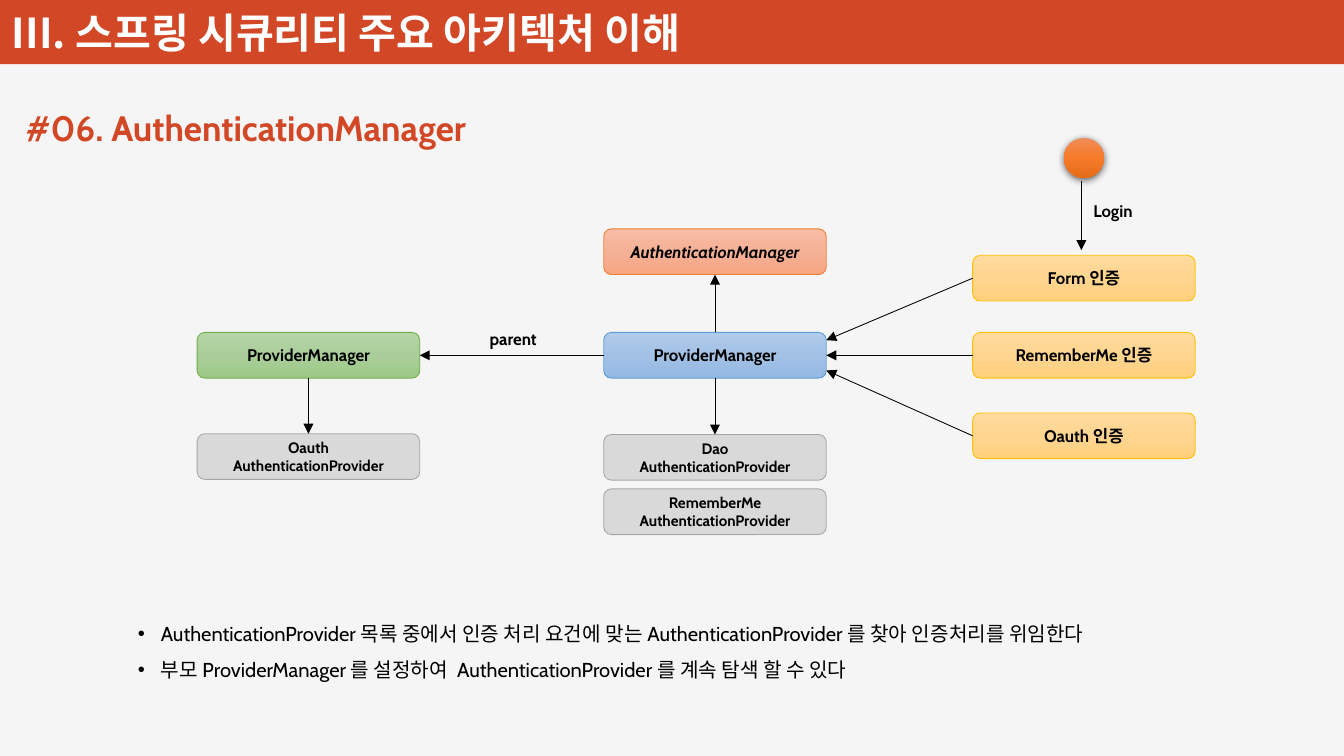
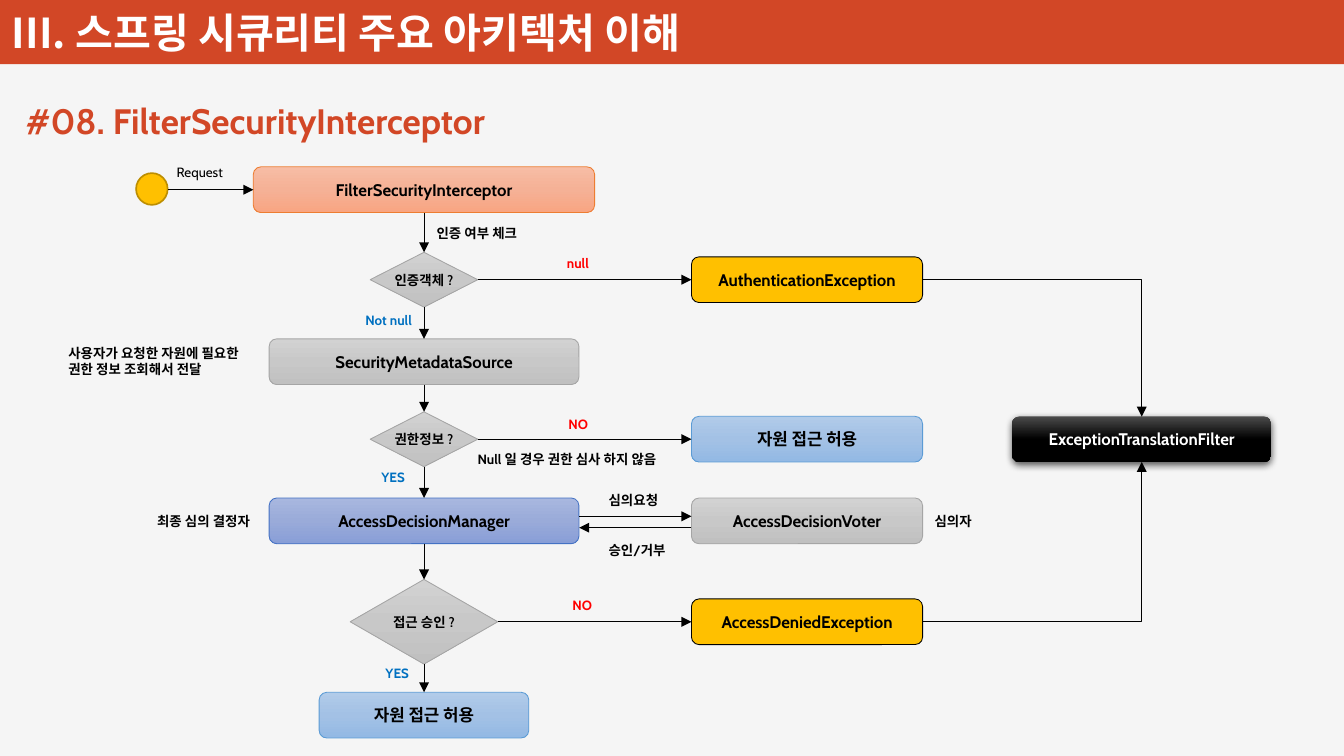
"""Build two architecture diagrams that share one band, title and theme."""
from dataclasses import dataclass
from enum import IntEnum
from typing import Optional, Union

import lxml.etree
import pptx
import pptx.dml.color
import pptx.enum.dml
import pptx.enum.shapes
import pptx.enum.text
import pptx.oxml.ns
import pptx.util

qn = pptx.oxml.ns.qn
Shapes = pptx.enum.shapes.MSO_SHAPE
Connectors = pptx.enum.shapes.MSO_CONNECTOR
Align = pptx.enum.text.PP_ALIGN
Anchor = pptx.enum.text.MSO_ANCHOR

WIDTH, HEIGHT = pptx.util.Inches(11.11), pptx.util.Inches(6.25)


class Side(IntEnum):
    """Connection sites of boxes and diamonds."""
    TOP = 0
    LEFT = 1
    BOTTOM = 2
    RIGHT = 3


@dataclass(frozen=True)
class Style:
    """Fill stops, outline, text colour and shadow of a node."""
    fill: tuple[str, ...]
    line: Optional[str] = None
    text: str = "000000"
    line_width: float = 0.5
    shadow: bool = False


@dataclass(frozen=True)
class Theme:
    """Colours, fonts and type sizes of the slides."""
    font: str = "Cabin"
    korean: str = "Noto Sans CJK KR"
    background: str = "F5F5F5"
    accent: str = "D24726"
    white: str = "FFFFFF"
    black: str = "000000"
    red: str = "FF0000"
    blue_text: str = "0070C0"
    chapter_size: float = 24.5
    title_size: float = 21
    body_size: float = 12
    node_size: float = 10
    provider_size: float = 9
    label_size: float = 8
    orange: Style = Style(("F7BDA5", "F5B196", "F8A582"), "ED7D31")
    blue: Style = Style(("B1CBE9", "A3C1E5", "93B9E4"), "5B9BD5")
    green: Style = Style(("B5D5A7", "AACE9A", "9CC987"), "70AD47")
    yellow: Style = Style(("FFDB9E", "FFD590", "FFD07C"), "FFC000")
    gray: Style = Style(("D2D2D2", "C8C8C8", "C0C0C0"), "A5A5A5")
    indigo: Style = Style(("A8B7DF", "9AABD9", "889ED7"), "4472C4")
    flat_gray: Style = Style(("D9D9D9",), "A6A6A6")
    amber: Style = Style(("FFC000",), "000000")
    request: Style = Style(("FFC000",), "BD8E00", line_width=1)
    login: Style = Style(("F18C57", "F67B28", "E56C19"), shadow=True)
    dark: Style = Style(("4B4B4B", "000000", "000000"), text="FFFFFF", shadow=True)


THEME = Theme()


@dataclass(frozen=True)
class Node:
    """A shape placed by its centre, in hundredths of the slide."""
    name: str
    x: float
    y: float
    width: float
    style: Style
    text: str = ""
    height: float = 6.05
    size: float = THEME.node_size
    italic: bool = False
    kind: Shapes = Shapes.ROUNDED_RECTANGLE


End = Union[tuple[str, Side], tuple[float, float]]


@dataclass(frozen=True)
class Link:
    """An arrow between node sides or grid points."""
    begin: End
    end: End
    elbow: bool = False


@dataclass(frozen=True)
class Label:
    """A free text, in hundredths of the slide."""
    left: float
    top: float
    width: float
    text: str
    color: str = THEME.black
    size: float = THEME.label_size
    bold: bool = True
    height: float = 3.85


@dataclass(frozen=True)
class Diagram:
    """Everything one slide shows."""
    title: str
    title_top: float
    nodes: list[Node]
    links: list[Link]
    labels: list[Label]
    bullets: tuple[str, ...] = ()


def column(share: float) -> int:
    """Turn hundredths of the width into a length."""
    return round(WIDTH * share / 100)


def row(share: float) -> int:
    """Turn hundredths of the height into a length."""
    return round(HEIGHT * share / 100)


def rgb(color: str) -> pptx.dml.color.RGBColor:
    """Read a hexadecimal colour."""
    return pptx.dml.color.RGBColor.from_string(color)


def write(text_frame, text: str, size: float, color: str, bold: bool = True, italic: bool = False,
          align=Align.LEFT, font: str = THEME.font) -> None:
    """Set the text of a frame and format its runs."""
    text_frame.text = text
    for paragraph in text_frame.paragraphs:
        paragraph.alignment = align
        for run in paragraph.runs:
            run.font.name, run.font.size = font, pptx.util.Pt(size)
            run.font.bold, run.font.italic = bold, italic
            run.font.color.rgb = rgb(color)
            east_asian = lxml.etree.Element(qn("a:ea"), typeface=THEME.korean)
            run.font._element.find(qn("a:latin")).addnext(east_asian)


def paint(shape, style: Style) -> None:
    """Apply fill, outline and shadow."""
    shape.shadow.inherit = False
    if len(style.fill) == 1:
        shape.fill.solid()
        shape.fill.fore_color.rgb = rgb(style.fill[0])
    else:
        shape.fill.gradient()
        shape.fill.gradient_angle = 270
        stops = shape.element.spPr.find(f".//{qn('a:gsLst')}")
        for stop in list(stops):
            stops.remove(stop)
        for index, color in enumerate(style.fill):
            position = str(100000 * index // (len(style.fill) - 1))
            stop = lxml.etree.SubElement(stops, qn("a:gs"), pos=position)
            lxml.etree.SubElement(stop, qn("a:srgbClr"), val=color)
    if style.line:
        shape.line.color.rgb = rgb(style.line)
        shape.line.width = pptx.util.Pt(style.line_width)
    else:
        shape.line.fill.background()
    if style.shadow:
        effects = shape.element.spPr.find(qn("a:effectLst"))
        shadow = lxml.etree.SubElement(effects, qn("a:outerShdw"), blurRad="57150", dist="19050",
                                       dir="5400000", algn="ctr", rotWithShape="0")
        color = lxml.etree.SubElement(shadow, qn("a:srgbClr"), val=THEME.black)
        lxml.etree.SubElement(color, qn("a:alpha"), val="63000")


def add_node(slide, node: Node):
    """Draw a node around its centre."""
    shape = slide.shapes.add_shape(
        node.kind, column(node.x - node.width / 2), row(node.y - node.height / 2),
        column(node.width), row(node.height))
    paint(shape, node.style)
    if node.text:
        shape.text_frame.word_wrap = False
        shape.text_frame.vertical_anchor = Anchor.MIDDLE
        write(shape.text_frame, node.text, node.size, node.style.text,
              italic=node.italic, align=Align.CENTER)
    return shape


def add_link(slide, link: Link, shapes: dict) -> None:
    """Draw an arrow and glue the ends that name a node."""
    points = [(0, 0) if isinstance(end[0], str) else (column(end[0]), row(end[1]))
              for end in (link.begin, link.end)]
    kind = Connectors.ELBOW if link.elbow else Connectors.STRAIGHT
    connector = slide.shapes.add_connector(kind, *points[0], *points[1])
    for end, connect in ((link.begin, connector.begin_connect), (link.end, connector.end_connect)):
        if isinstance(end[0], str):
            connect(shapes[end[0]], int(end[1]))
    connector.line.color.rgb = rgb(THEME.black)
    connector.line.width = pptx.util.Pt(0.5)
    properties = connector.element.spPr
    if link.elbow:
        properties.find(qn("a:prstGeom")).set("prst", "bentConnector2")
    lxml.etree.SubElement(properties.find(qn("a:ln")), qn("a:tailEnd"), type="triangle")
    lxml.etree.SubElement(properties, qn("a:effectLst"))


def add_label(slide, label: Label) -> None:
    """Draw a free text."""
    box = slide.shapes.add_textbox(column(label.left), row(label.top),
                                   column(label.width), row(label.height))
    box.text_frame.word_wrap = False
    box.text_frame.auto_size = pptx.enum.text.MSO_AUTO_SIZE.SHAPE_TO_FIT_TEXT
    write(box.text_frame, label.text, label.size, label.color, label.bold)


def add_bullets(slide, bullets: tuple[str, ...]) -> None:
    """Draw the explanation below a diagram."""
    box = slide.shapes.add_textbox(column(6.4), row(79.8), column(87.2), row(10.7))
    box.text_frame.word_wrap = True
    write(box.text_frame, "\n".join(bullets), THEME.body_size, THEME.black, bold=False)
    for paragraph in box.text_frame.paragraphs:
        paragraph.line_spacing = 1.5
        properties = paragraph._p.get_or_add_pPr()
        properties.set("marL", str(pptx.util.Inches(0.52)))
        properties.set("indent", str(pptx.util.Inches(-0.19)))
        lxml.etree.SubElement(properties, qn("a:buFont"), typeface="Arial")
        lxml.etree.SubElement(properties, qn("a:buChar"), char="•")


def add_band(layout, slide) -> None:
    """Put the background and the chapter band on the layout."""
    layout.background.fill.solid()
    layout.background.fill.fore_color.rgb = rgb(THEME.background)
    band = slide.shapes.add_shape(Shapes.RECTANGLE, 0, 0, WIDTH, row(8.5))
    paint(band, Style((THEME.accent,)))
    frame = band.text_frame
    frame.margin_left, frame.margin_top = pptx.util.Inches(0.1), 0
    frame.margin_bottom = pptx.util.Inches(0.06)
    frame.vertical_anchor = Anchor.BOTTOM
    write(frame, "III. 스프링 시큐리티 주요 아키텍처 이해", THEME.chapter_size, THEME.white,
          font=THEME.korean)
    band.element.nvSpPr.cNvPr.set("id", "100")
    layout.element.cSld.spTree.insert(2, band.element)


def add_diagram(slide, diagram: Diagram) -> None:
    """Fill one slide."""
    title = slide.shapes.title
    title.left, title.top, title.width, title.height = column(1), row(diagram.title_top), column(60), row(7.2)
    title.text_frame.vertical_anchor = Anchor.TOP
    write(title.text_frame, diagram.title, THEME.title_size, THEME.accent)
    shapes = {node.name: add_node(slide, node) for node in diagram.nodes}
    for link in diagram.links:
        add_link(slide, link, shapes)
    for label in diagram.labels:
        add_label(slide, label)
    if diagram.bullets:
        add_bullets(slide, diagram.bullets)


def manager_diagram() -> Diagram:
    """Describe the authentication manager slide."""
    left, middle, right, width, center = 22.95, 53.2, 80.65, 16.56, 47
    small = THEME.provider_size
    return Diagram("#06. AuthenticationManager", 13.3, [
        Node("manager", middle, 33.3, width, THEME.orange, "AuthenticationManager", italic=True),
        Node("provider", middle, center, width, THEME.blue, "ProviderManager"),
        Node("parent", left, center, width, THEME.green, "ProviderManager"),
        Node("dao", middle, 60.5, width, THEME.flat_gray, "Dao\nAuthenticationProvider", size=small),
        Node("remember", middle, 67.7, width, THEME.flat_gray, "RememberMe\nAuthenticationProvider", size=small),
        Node("oauth", left, 60.4, width, THEME.flat_gray, "Oauth\nAuthenticationProvider", size=small),
        Node("form login", right, 36.8, width, THEME.yellow, "Form 인증"),
        Node("remember login", right, center, width, THEME.yellow, "RememberMe 인증"),
        Node("oauth login", right, 57.65, width, THEME.yellow, "Oauth 인증"),
        Node("user", right, 20.9, 2.97, THEME.login, height=5.28, kind=Shapes.OVAL),
    ], [
        Link(("provider", Side.TOP), ("manager", Side.BOTTOM)),
        Link(("provider", Side.BOTTOM), ("dao", Side.TOP)),
        Link(("provider", Side.LEFT), ("parent", Side.RIGHT)),
        Link(("parent", Side.BOTTOM), ("oauth", Side.TOP)),
        Link(("form login", Side.LEFT), (61.48, 45)),
        Link(("remember login", Side.LEFT), ("provider", Side.RIGHT)),
        Link(("oauth login", Side.LEFT), (61.48, 49)),
        Link((80.46, 24), (80.46, 33.1)),
    ], [
        Label(35.55, 42.7, 5.7, "parent", size=THEME.node_size, height=4.3),
        Label(80.46, 25.75, 5.1, "Login", size=THEME.node_size, height=4.3),
    ], ("AuthenticationProvider 목록 중에서 인증 처리 요건에 맞는 AuthenticationProvider 를 찾아 인증처리를 위임한다",
        "부모 ProviderManager 를 설정하여  AuthenticationProvider 를 계속 탐색 할 수 있다"))


def interceptor_diagram() -> Diagram:
    """Describe the security interceptor slide."""
    main, middle, right, wide, narrow = 31.55, 60.05, 84.95, 23.05, 17.2
    diamond = dict(style=THEME.gray, size=THEME.label_size, kind=Shapes.FLOWCHART_DECISION)
    flow = ["interceptor", "authenticated", "metadata", "permission", "decision", "approved", "permit"]
    return Diagram("#08. FilterSecurityInterceptor", 12.3, [
        Node("request", 11.3, 25, 2.35, THEME.request, height=4.2, kind=Shapes.OVAL),
        Node("interceptor", main, 25.1, 25.4, THEME.orange, "FilterSecurityInterceptor"),
        Node("authenticated", main, 37, 8, text="인증객체 ?", height=7.25, **diamond),
        Node("metadata", main, 47.85, wide, THEME.gray, "SecurityMetadataSource"),
        Node("permission", main, 58.1, 8, text="권한정보 ?", height=7.25, **diamond),
        Node("decision", main, 68.9, wide, THEME.indigo, "AccessDecisionManager"),
        Node("approved", main, 82.25, 10.98, text="접근 승인 ?", height=11.2, **diamond),
        Node("permit", main, 94.6, 15.6, THEME.blue, "자원 접근 허용"),
        Node("unauthenticated", middle, 37, narrow, THEME.amber, "AuthenticationException"),
        Node("public", middle, 58.1, narrow, THEME.blue, "자원 접근 허용"),
        Node("voter", middle, 68.9, narrow, THEME.gray, "AccessDecisionVoter"),
        Node("denied", middle, 82.25, narrow, THEME.amber, "AccessDeniedException"),
        Node("filter", right, 58.1, 19.3, THEME.dark, "ExceptionTranslationFilter"),
    ], [
        *(Link((upper, Side.BOTTOM), (lower, Side.TOP)) for upper, lower in zip(flow, flow[1:])),
        *(Link((start, Side.RIGHT), (end, Side.LEFT)) for start, end in (
            ("authenticated", "unauthenticated"), ("permission", "public"), ("approved", "denied"))),
        Link((12.5, 25.1), ("interceptor", Side.LEFT)),
        Link((43.1, 68.3), (51.45, 68.3)),
        Link((51.45, 69.8), (43.1, 69.8)),
        Link((68.65, 37), (right, 55.1), elbow=True),
        Link((68.65, 82.25), (right, 61.1), elbow=True),
    ], [
        Label(12.25, 20.9, 5.4, "Request", bold=False),
        Label(41.3, 33, 3.6, "null", THEME.red),
        Label(41.4, 54.2, 3.4, "NO", THEME.red),
        Label(41.7, 78.2, 3.4, "NO", THEME.red),
        Label(26.3, 40.5, 5.7, "Not null", THEME.blue_text),
        Label(27.5, 61.3, 4.5, "YES", THEME.blue_text),
        Label(27.8, 87.2, 4.5, "YES", THEME.blue_text),
        Label(31.6, 29, 8.5, "인증 여부 체크"),
        Label(4.2, 44.9, 16.1, "사용자가 요청한 자원에 필요한\n권한 정보 조회해서 전달", height=5.9),
        Label(34.65, 58.9, 16.65, "Null 일 경우 권한 심사 하지 않음"),
        Label(10.8, 67.1, 9.45, "최종 심의 결정자"),
        Label(68.65, 67.1, 4.9, "심의자"),
        Label(44.4, 64.3, 5.85, "심의요청"),
        Label(44.4, 70.9, 6.3, "승인/거부"),
    ])


def main() -> None:
    """Build and save the presentation."""
    presentation = pptx.Presentation()
    presentation.slide_width, presentation.slide_height = WIDTH, HEIGHT
    layout = presentation.slide_layouts.get_by_name("Title Only")
    slides = [presentation.slides.add_slide(layout) for _ in range(2)]
    add_band(layout, slides[0])
    for slide, diagram in zip(slides, (manager_diagram(), interceptor_diagram())):
        add_diagram(slide, diagram)
    presentation.save("out.pptx")


if __name__ == "__main__":
    main()
